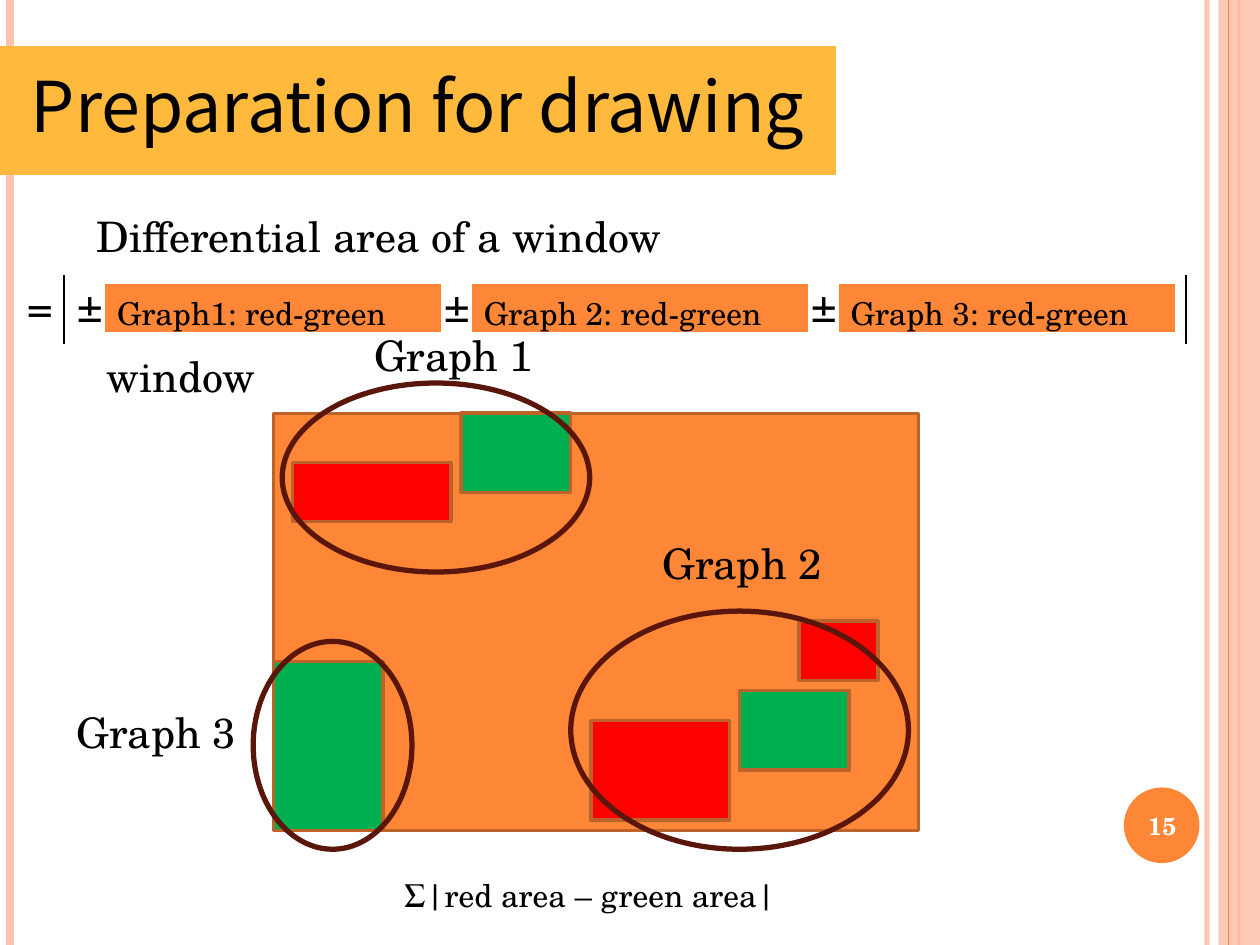
from lxml import etree
from pptx import Presentation
from pptx.dml.color import RGBColor
from pptx.enum.shapes import MSO_CONNECTOR, MSO_SHAPE
from pptx.enum.text import MSO_ANCHOR, MSO_AUTO_SIZE, PP_ALIGN
from pptx.oxml import parse_xml
from pptx.oxml.ns import nsdecls, qn
from pptx.util import Inches, Pt

BODY_FONT = "TeX Gyre Schola"
TITLE_FONT = "Noto Sans CJK SC"
BLACK = RGBColor(0x00, 0x00, 0x00)
WHITE = RGBColor(0xFF, 0xFF, 0xFF)
ORANGE = RGBColor(0xFE, 0x86, 0x37)
PEACH = RGBColor(0xFE, 0xC3, 0xAE)
BROWN = RGBColor(0xBC, 0x63, 0x29)
MAROON = RGBColor(0x5A, 0x16, 0x0B)
RED = RGBColor(0xFF, 0x00, 0x00)
GREEN = RGBColor(0x00, 0xB0, 0x50)
AMBER = RGBColor(0xFF, 0xBA, 0x3D)


def set_opacity(owner, percent):
    """Make the solid colour inside a shape or line partly transparent."""
    color = next(owner.iter(qn("a:srgbClr")))
    etree.SubElement(color, qn("a:alpha")).set("val", str(percent * 1000))


def add_figure(slide, kind, box, fill=None, outline=None, weight=1, opacity=100):
    figure = slide.shapes.add_shape(kind, *map(Inches, box))
    figure.shadow.inherit = False
    if fill is None:
        figure.fill.background()
    else:
        figure.fill.solid()
        figure.fill.fore_color.rgb = fill
    if outline is None:
        figure.line.fill.background()
    else:
        figure.line.color.rgb = outline
        figure.line.width = Pt(weight)
    if opacity < 100:
        set_opacity(figure.fill._xPr, opacity)


def add_vertical(slide, x, top, bottom, color, weight, opacity=100):
    rule = slide.shapes.add_connector(
        MSO_CONNECTOR.STRAIGHT, Inches(x), Inches(top), Inches(x), Inches(bottom))
    rule.line.color.rgb = color
    rule.line.width = Pt(weight)
    etree.SubElement(rule._element.spPr, qn("a:effectLst"))
    if opacity < 100:
        set_opacity(rule.line._ln, opacity)


def format_text(paragraph, size, color=BLACK, font=BODY_FONT, bold=False):
    for run in paragraph.runs:
        run.font.name = font
        run.font.size = Pt(size)
        run.font.color.rgb = color
        run.font.bold = bold


def add_label(slide, text, box, size=24):
    label = slide.shapes.add_textbox(*map(Inches, box)).text_frame
    label.text = text
    label.word_wrap = False
    label.auto_size = MSO_AUTO_SIZE.SHAPE_TO_FIT_TEXT
    format_text(label.paragraphs[0], size)


def add_centred(slide, text, box, size, color, font, bold=False):
    frame = slide.shapes.add_textbox(*map(Inches, box)).text_frame
    frame.text = text
    frame.word_wrap = True
    frame.vertical_anchor = MSO_ANCHOR.MIDDLE
    frame.margin_left = frame.margin_right = Inches(0.05)
    paragraph = frame.paragraphs[0]
    paragraph.alignment = PP_ALIGN.CENTER
    format_text(paragraph, size, color, font, bold)
    return paragraph


def add_term(slide, text, left):
    """Add one term of the formula as a single-cell table."""
    table = slide.shapes.add_table(
        1, 1, Inches(left), Inches(2.25), Inches(2.68), Inches(0.4)).table
    table.first_row = table.horz_banding = False
    cell = table.cell(0, 0)
    cell.text = text
    cell.fill.solid()
    cell.fill.fore_color.rgb = ORANGE
    format_text(cell.text_frame.paragraphs[0], 18)
    properties = cell._tc.get_or_add_tcPr()
    for position, (side, weight) in enumerate([("L", 1), ("R", 1), ("T", 1), ("B", 3)]):
        properties.insert(position, parse_xml(
            f'<a:ln{side} {nsdecls("a")} w="{Pt(weight)}"><a:solidFill>'
            f'<a:srgbClr val="{WHITE}"/></a:solidFill></a:ln{side}>'))


def add_side_stripes(slide):
    add_vertical(slide, 9.58, 0, 7.5, PEACH, 3, 93)
    add_vertical(slide, 0.08, 0, 7.5, PEACH, 4.5)
    add_vertical(slide, 9.83, 0, 7.5, ORANGE, 1.5)
    add_figure(slide, MSO_SHAPE.RECTANGLE, (9.67, 0, 0.33, 7.5), PEACH, opacity=87)
    add_vertical(slide, 9.75, 0, 7.5, ORANGE, 0.75)
    add_figure(slide, MSO_SHAPE.OVAL, (8.92, 6.25, 0.6, 0.6), ORANGE)


def add_window(slide):
    areas = [
        (ORANGE, (2.17, 3.28, 5.12, 3.31)),
        (RED, (2.32, 3.67, 1.26, 0.47)),
        (RED, (6.34, 4.93, 0.63, 0.47)),
        (RED, (4.69, 5.72, 1.1, 0.79)),
        (GREEN, (3.66, 3.28, 0.87, 0.63)),
        (GREEN, (5.87, 5.48, 0.87, 0.63)),
        (GREEN, (2.17, 5.25, 0.87, 1.34)),
    ]
    for color, box in areas:
        add_figure(slide, MSO_SHAPE.RECTANGLE, box, color, BROWN, 2)
    add_label(slide, "window", (0.75, 2.73, 1.4, 0.5))

    graphs = [
        ("Graph 1", (2.87, 2.57), (2.24, 3.04, 2.44, 1.5)),
        ("Graph 2", (5.16, 4.22), (4.53, 4.85, 2.68, 1.89)),
        ("Graph 3", (0.51, 5.56), (2.01, 5.09, 1.26, 1.65)),
    ]
    for name, corner, loop in graphs:
        add_figure(slide, MSO_SHAPE.OVAL, loop, outline=MAROON, weight=3)
        add_label(slide, name, (*corner, 1.48, 0.5))


def add_formula(slide):
    add_label(slide, "Differential area of a window", (0.67, 1.62, 4.92, 0.5))
    add_label(slide, "=", (0.12, 2.18, 0.41, 0.5))
    for bar_x in (0.51, 9.41):
        add_vertical(slide, bar_x, 2.18, 2.73, BLACK, 1)
    terms = ["Graph1: red-green", "Graph 2: red-green", "Graph 3: red-green"]
    for index, term in enumerate(terms):
        offset = index * 2.91
        add_term(slide, term, 0.83 + offset)
        add_label(slide, "±", (0.52 + offset, 2.18, 0.37, 0.5))


def add_title(slide):
    add_figure(slide, MSO_SHAPE.RECTANGLE, (0, 0.37, 6.63, 1.01), AMBER, AMBER)
    title = add_centred(slide, "Preparation for drawing", (0, 0.52, 6.63, 0.71),
                        40, BLACK, TITLE_FONT)
    title.line_spacing = 0.9


def main():
    presentation = Presentation()
    presentation.slide_width = Inches(10)
    presentation.slide_height = Inches(7.5)
    slide = presentation.slides.add_slide(presentation.slide_layouts[6])
    add_side_stripes(slide)
    add_window(slide)
    add_formula(slide)
    add_title(slide)
    add_label(slide, "Σ|red area – green area|", (3.11, 6.9, 3.16, 0.4), 18)
    add_centred(slide, "15", (8.89, 6.27, 0.67, 0.57), 14, WHITE, BODY_FONT, True)
    presentation.save("out.pptx")


if __name__ == "__main__":
    main()
